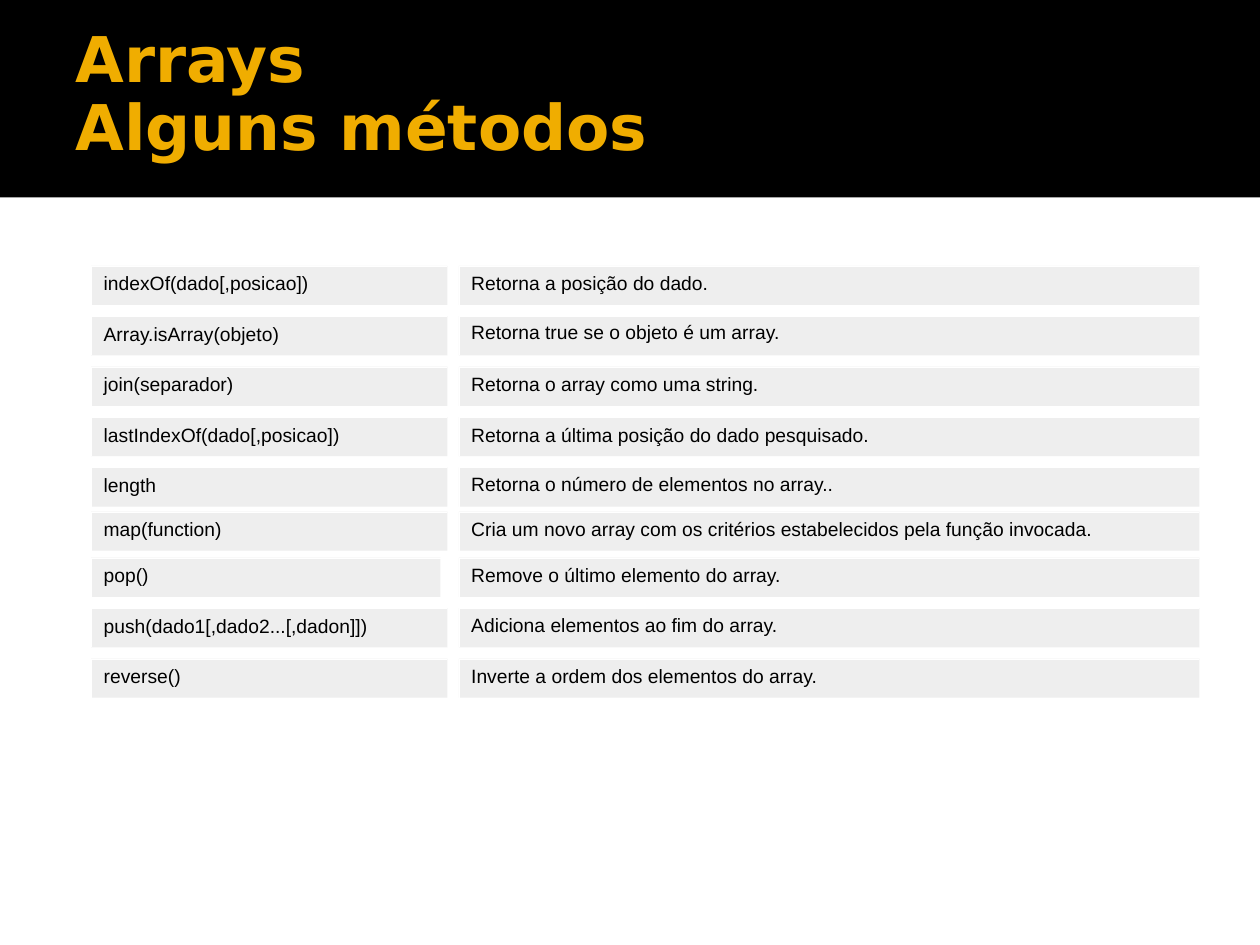
from dataclasses import dataclass

from lxml import etree
from pptx import Presentation
from pptx.dml.color import RGBColor
from pptx.enum.shapes import MSO_CONNECTOR, MSO_SHAPE
from pptx.enum.text import MSO_ANCHOR, MSO_AUTO_SIZE, PP_ALIGN
from pptx.oxml.ns import qn
from pptx.util import Cm, Pt

RECTANGLE = MSO_SHAPE.RECTANGLE
STRAIGHT = MSO_CONNECTOR.STRAIGHT
TOP = MSO_ANCHOR.TOP
LEFT = PP_ALIGN.LEFT
NO_AUTOFIT = MSO_AUTO_SIZE.NONE
TITLE_ONLY = 5


@dataclass(frozen=True)
class Theme:
    band: RGBColor = RGBColor(0x00, 0x00, 0x00)
    title: RGBColor = RGBColor(0xF0, 0xAD, 0x00)
    cell: RGBColor = RGBColor(0xEE, 0xEE, 0xEE)
    border: RGBColor = RGBColor(0xFF, 0xFF, 0xFF)
    text: RGBColor = RGBColor(0x00, 0x00, 0x00)
    title_font: str = "DejaVu Sans"
    cell_font: str = "Arial"
    title_size: int = 36
    cell_size: int = 11
    border_width: float = 0.06


@dataclass(frozen=True)
class Method:
    name: str
    description: str
    pitch: int = Cm(5.08) // 5
    name_width: int = Cm(7.18)
    inset: int = Cm(0.17)
    spacing: float = 0.87


THEME = Theme()
SLIDE_WIDTH, SLIDE_HEIGHT = Cm(25.4), Cm(19.05)
NAME_LEFT, DESCRIPTION_LEFT = Cm(1.84), Cm(9.25)
DESCRIPTION_WIDTH = Cm(14.93)
FIRST_TOP, CELL_HEIGHT = Cm(5.36), Cm(0.79)
NAME_INSET, NAME_SPACING = Cm(0.16), 0.93
SIDE_INSET, EDGE_INSET = Cm(0.25), Cm(0.13)

METHODS = [
    Method("indexOf(dado[,posicao])", "Retorna a posição do dado.", inset=Cm(0.15), spacing=0.94),
    Method("Array.isArray(objeto)", "Retorna true se o objeto é um array.", inset=Cm(0.15)),
    Method("join(separador)", "Retorna o array como uma string."),
    Method("lastIndexOf(dado[,posicao])", "Retorna a última posição do dado pesquisado.", spacing=0.94),
    Method("length", "Retorna o número de elementos no array..", pitch=Cm(0.89)),
    Method(
        "map(function)",
        "Cria um novo array com os critérios estabelecidos pela função invocada.",
        pitch=Cm(0.93),
    ),
    Method("pop()", "Remove o último elemento do array.", name_width=Cm(7.04)),
    Method("push(dado1[,dado2...[,dadon]])", "Adiciona elementos ao fim do array."),
    Method("reverse()", "Inverte a ordem dos elementos do array."),
]


def write_text(box, text: str, *, font: str, size: int, color: RGBColor,
               bold: bool = False, spacing: float, inset: int) -> None:
    """Fill a box with one left-aligned paragraph set from the top."""
    frame = box.text_frame
    frame.word_wrap = True
    frame.auto_size = NO_AUTOFIT
    frame.vertical_anchor = TOP
    frame.margin_left = frame.margin_right = SIDE_INSET
    frame.margin_top, frame.margin_bottom = inset, EDGE_INSET
    frame.text = text
    para = frame.paragraphs[0]
    para.alignment = LEFT
    para.line_spacing = spacing
    para.space_before = Pt(0)
    for span in para.runs:
        span.font.name = font
        span.font.size = Pt(size)
        span.font.bold = bold
        span.font.color.rgb = color


def add_rectangle(page, left: int, top: int, width: int, height: int, fill: RGBColor):
    """Draw a flat rectangle without an outline."""
    box = page.shapes.add_shape(RECTANGLE, left, top, width, height)
    box.shadow.inherit = False
    box.fill.solid()
    box.fill.fore_color.rgb = fill
    box.line.fill.background()
    return box


def add_border(page, left: int, top: int, right: int, bottom: int) -> None:
    """Draw one hairline along the edge of a cell."""
    border = page.shapes.add_connector(STRAIGHT, left, top, right, bottom)
    border.line.color.rgb = THEME.border
    border.line.width = Pt(THEME.border_width)
    etree.SubElement(border.element.spPr, qn("a:effectLst"))


def add_cell(page, text: str, left: int, top: int, width: int, inset: int, spacing: float) -> None:
    """Draw one grey cell with its text and its top and left borders."""
    box = add_rectangle(page, left, top, width, CELL_HEIGHT, THEME.cell)
    write_text(box, text, font=THEME.cell_font, size=THEME.cell_size,
               color=THEME.text, spacing=spacing, inset=inset)
    add_border(page, left, top, left + width, top)
    add_border(page, left, top, left, top + CELL_HEIGHT)


def add_heading(page) -> None:
    """Draw the black band and set the title over it."""
    title = page.shapes.title
    band = add_rectangle(page, 0, 0, SLIDE_WIDTH, Cm(3.98), THEME.band)
    title.element.addprevious(band.element)
    title.left, title.top = Cm(1.27), Cm(0.43)
    title.width, title.height = Cm(22.86), Cm(3.48)
    write_text(title, "Arrays \vAlguns métodos", font=THEME.title_font, size=THEME.title_size,
               color=THEME.title, bold=True, spacing=0.9, inset=EDGE_INSET)


def add_methods(page) -> None:
    """Draw each method beside its description, row by row."""
    top = FIRST_TOP
    for method in METHODS:
        add_cell(page, method.name, NAME_LEFT, top, method.name_width, NAME_INSET, NAME_SPACING)
        add_cell(page, method.description, DESCRIPTION_LEFT, top, DESCRIPTION_WIDTH,
                 method.inset, method.spacing)
        top += method.pitch


def main() -> None:
    """Build and save the deck."""
    deck = Presentation()
    deck.slide_width, deck.slide_height = SLIDE_WIDTH, SLIDE_HEIGHT
    page = deck.slides.add_slide(deck.slide_layouts[TITLE_ONLY])
    add_heading(page)
    add_methods(page)
    deck.save("out.pptx")


if __name__ == "__main__":
    main()
